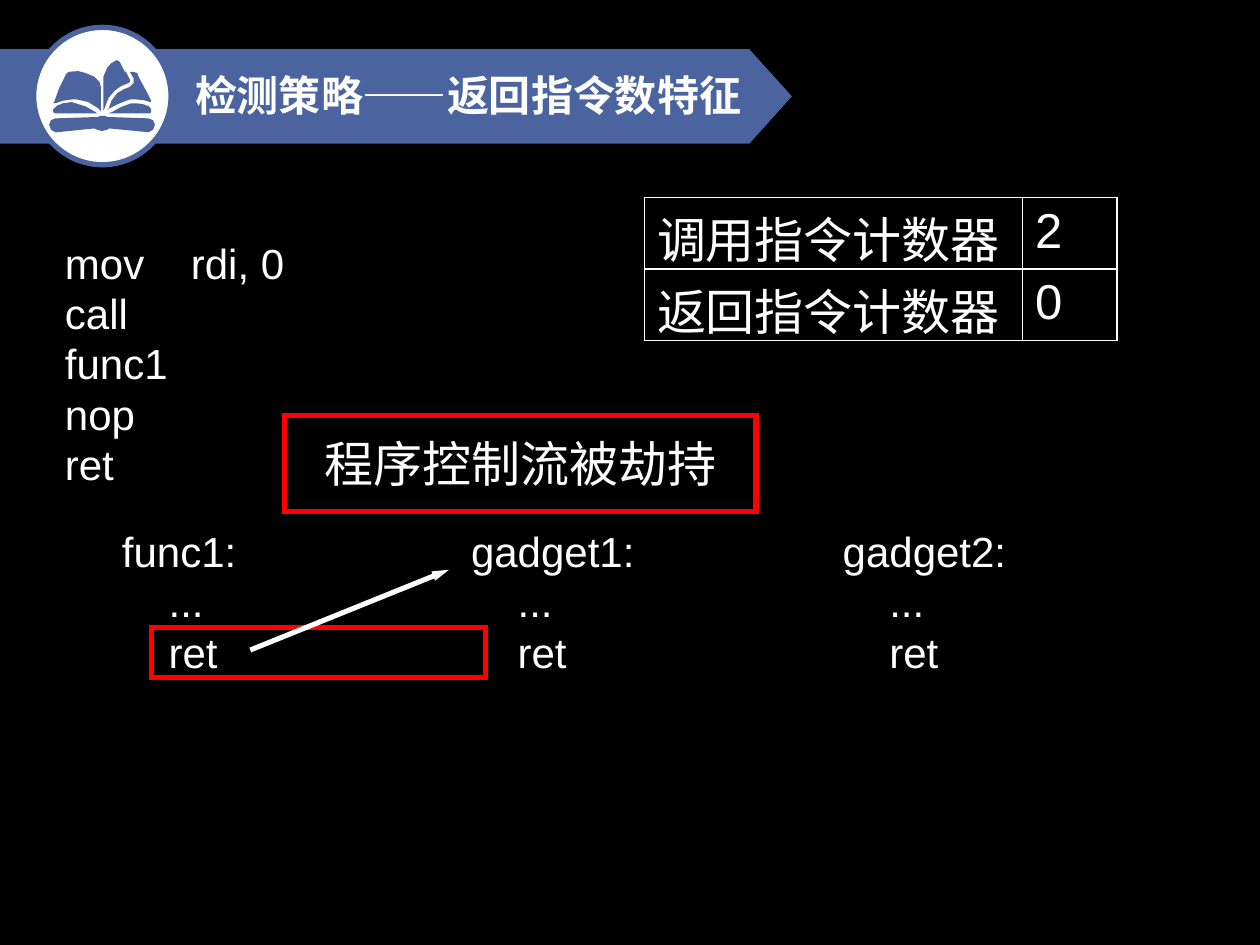
from dataclasses import dataclass

from lxml.etree import SubElement
from pptx import Presentation
from pptx.dml.color import RGBColor
from pptx.enum.shapes import MSO_SHAPE
from pptx.enum.text import MSO_ANCHOR, MSO_AUTO_SIZE, PP_ALIGN
from pptx.oxml.ns import qn
from pptx.shapes.autoshape import Shape
from pptx.slide import Slide
from pptx.table import _Cell
from pptx.text.text import TextFrame
from pptx.util import Inches, Length, Pt

COLORS = {"ground": "000000", "banner": "4B649F", "light": "FFFFFF", "alert": "FF0000"}
BODY_FONT = "Arial"
TITLE_FONT = "Noto Sans CJK SC"
COLUMNS, ROWS = 40, 30
CELL = 0.25  # inches per grid cell
ICON_STEP = CELL / 25

# Outlines of the open book, in icon steps from the slide corner
LEFT_PAGE = [
    (79, 65), (80, 69), (80, 88), (78, 86), (70, 81), (61, 79), (57, 79), (50, 80),
    (44, 82), (42, 82), (43, 81), (47, 70), (52, 60), (53, 58), (55, 57), (62, 56.5),
    (68, 58), (75, 61),
]
TURNING_PAGE = [
    (91, 72), (86, 78), (83, 86), (82, 88), (82, 61), (85, 54), (88, 50.5), (92, 48),
    (93, 48), (95, 49), (99, 57), (100, 57), (103, 63), (103, 65), (102, 66), (96, 68.5),
]
RIGHT_PAGE = [
    (120, 80), (117, 74), (110, 61), (109, 58), (106, 57.2), (103, 57), (106, 62),
    (106, 66), (103, 69), (98, 71), (93, 74), (88.5, 80), (86, 87), (85, 87), (87, 86),
    (95, 82), (103, 79), (108, 79), (114, 79.5), (119, 81), (120, 81),
]
LEFT_EDGE = [
    (76, 89), (68, 84.5), (60, 82), (57, 81), (50, 82), (45, 84), (42, 87), (42, 89),
    (44, 90), (77, 90),
]
RIGHT_EDGE = [
    (118, 84), (117, 84), (113, 82.5), (108, 82), (104, 82), (96, 85), (89, 89),
    (86, 90), (119, 90), (120, 89), (120, 87),
]
COVER = [
    (118, 105), (87, 102), (85, 103), (81, 104), (77, 103), (75, 102), (45, 105),
    (44, 105), (40.5, 103), (39, 99), (40.5, 95.5), (44, 94), (74, 93), (77, 93),
    (80, 92), (83, 92), (86, 93), (89, 93), (118, 94), (121.5, 95.5), (123, 99),
    (121.5, 103),
]
BOOK_PARTS = [LEFT_PAGE, TURNING_PAGE, RIGHT_PAGE, LEFT_EDGE, RIGHT_EDGE, COVER]


@dataclass(frozen=True)
class Box:
    """A place on the slide in grid columns and rows."""

    column: float
    row: float
    columns: float
    rows: float

    def lengths(self) -> list[Length]:
        return [Inches(n * CELL) for n in (self.column, self.row, self.columns, self.rows)]


@dataclass(frozen=True)
class Routine:
    label: str
    column: float


ROUTINES = [Routine("gadget1:", 14.56), Routine("gadget2:", 26.36), Routine("func1:", 3.48)]
COUNTERS = [("调用指令计数器", "2"), ("返回指令计数器", "0")]
COUNTER_COLUMNS = (12, 3)
COUNTER_ROW = 2.27


def color(name: str) -> RGBColor:
    return RGBColor.from_string(COLORS[name])


def format_text(frame: TextFrame, size: float, font: str = BODY_FONT, bold: bool = False) -> None:
    for paragraph in frame.paragraphs:
        for run in paragraph.runs:
            run.font.name = font
            run.font.size = Pt(size)
            run.font.bold = bold
            run.font.color.rgb = color("light")
            SubElement(run.font._element, qn("a:ea")).set("typeface", font)


def paint(shape: Shape, fill: str | None, line: str | None = None) -> None:
    shape.shadow.inherit = False
    if fill:
        shape.fill.solid()
        shape.fill.fore_color.rgb = color(fill)
    else:
        shape.fill.background()
    if line:
        shape.line.color.rgb = color(line)
        shape.line.width = Pt(3)
        SubElement(shape.line._get_or_add_ln(), qn("a:miter")).set("lim", "800000")
    else:
        shape.line.fill.background()


def add_preset(slide: Slide, kind: MSO_SHAPE, box: Box, fill: str | None,
               line: str | None = None) -> Shape:
    shape = slide.shapes.add_shape(kind, *box.lengths())
    paint(shape, fill, line)
    return shape


def add_book(slide: Slide) -> None:
    for outline in BOOK_PARTS:
        points = [(Inches(x * ICON_STEP), Inches(y * ICON_STEP)) for x, y in outline]
        builder = slide.shapes.build_freeform(*points[0], scale=1.0)
        builder.add_line_segments(points[1:], close=True)
        paint(builder.convert_to_shape(), "banner")


def add_title(slide: Slide, text: str, box: Box) -> None:
    title = slide.shapes.title
    title.left, title.top, title.width, title.height = box.lengths()
    frame = title.text_frame
    frame.text = text
    frame.word_wrap = False
    frame.auto_size = MSO_AUTO_SIZE.NONE
    frame.vertical_anchor = MSO_ANCHOR.TOP
    frame.paragraphs[0].alignment = PP_ALIGN.LEFT
    format_text(frame, 24, TITLE_FONT, bold=True)
    title.element.getparent().append(title.element)  # above the banner


def add_code(slide: Slide, lines: list[str], box: Box, indented_from: int | None = None) -> None:
    frame = slide.shapes.add_textbox(*box.lengths()).text_frame
    frame.word_wrap = True
    frame.text = "\n".join(lines)
    if indented_from is not None:
        for paragraph in frame.paragraphs[indented_from:]:
            paragraph._p.get_or_add_pPr().set("marL", str(Inches(1.48 * CELL)))
    format_text(frame, 24)


def add_borders(cell: _Cell) -> None:
    properties = cell._tc.get_or_add_tcPr()
    for position, side in enumerate(("a:lnL", "a:lnR", "a:lnT", "a:lnB")):
        border = properties.makeelement(qn(side), {"w": str(Pt(1))})
        properties.insert(position, border)
        fill = SubElement(border, qn("a:solidFill"))
        SubElement(fill, qn("a:srgbClr")).set("val", COLORS["light"])


def add_counters(slide: Slide, column: float, row: float) -> None:
    box = Box(column, row, sum(COUNTER_COLUMNS), COUNTER_ROW * len(COUNTERS))
    table = slide.shapes.add_table(len(COUNTERS), len(COUNTER_COLUMNS), *box.lengths()).table
    table.first_row = table.horz_banding = False
    for table_column, width in zip(table.columns, COUNTER_COLUMNS):
        table_column.width = Inches(width * CELL)
    for row_index, counter in enumerate(COUNTERS):
        for column_index, text in enumerate(counter):
            cell = table.cell(row_index, column_index)
            cell.fill.background()
            cell.text_frame.text = text
            format_text(cell.text_frame, 28)
            add_borders(cell)
        label = table.cell(row_index, 0)
        label.vertical_anchor = MSO_ANCHOR.BOTTOM
        label.margin_bottom = 0


def main() -> None:
    presentation = Presentation()
    presentation.slide_width = Inches(COLUMNS * CELL)
    presentation.slide_height = Inches(ROWS * CELL)
    slide = presentation.slides.add_slide(presentation.slide_layouts[5])
    slide.background.fill.solid()
    slide.background.fill.fore_color.rgb = color("ground")

    banner = add_preset(slide, MSO_SHAPE.PENTAGON, Box(0, 1.56, 25.14, 3), "banner")
    banner.adjustments[0] = 0.45
    add_preset(slide, MSO_SHAPE.OVAL, Box(1.07, 0.87, 4.36, 4.36), "light", "banner")
    add_book(slide)
    add_title(slide, "检测策略——返回指令数特征", Box(5.79, 2, 18.2, 2))

    add_counters(slide, 20.46, 6.27)
    add_code(slide, ["mov\trdi, 0", "call\tfunc1", "nop", "ret"], Box(1.67, 7.33, 7.84, 6.88))
    add_preset(slide, MSO_SHAPE.RECTANGLE, Box(4.82, 19.92, 10.6, 1.6), None, "alert")
    for routine in ROUTINES:
        add_code(slide, [routine.label, "...", "ret"], Box(routine.column, 16.48, 9.44, 5.24),
                 indented_from=1)

    arrow = add_preset(slide, MSO_SHAPE.DOWN_ARROW, Box(10.94, 15.96, 0.32, 6.8), "light")
    arrow.rotation = 248
    arrow.adjustments[0], arrow.adjustments[1] = 0.5, 1.67

    warning = add_preset(slide, MSO_SHAPE.RECTANGLE, Box(9.04, 13.19, 14.96, 3.04),
                         "ground", "alert")
    warning.text_frame.text = "程序控制流被劫持"
    warning.text_frame.vertical_anchor = MSO_ANCHOR.MIDDLE
    warning.text_frame.paragraphs[0].alignment = PP_ALIGN.CENTER
    format_text(warning.text_frame, 28)

    presentation.save("out.pptx")


if __name__ == "__main__":
    main()
